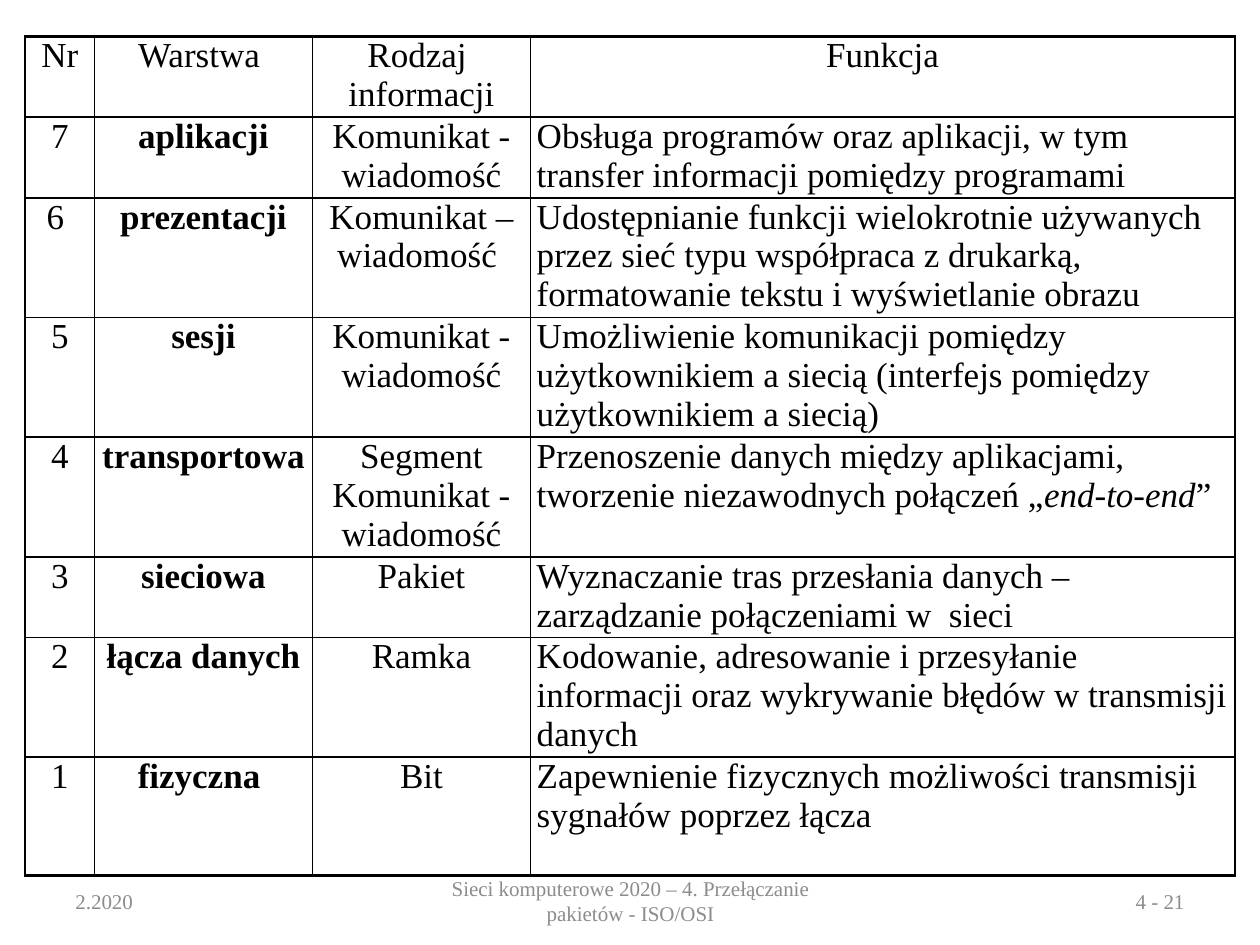
from typing import NamedTuple

import pptx
import pptx.dml.color
import pptx.enum.text
import pptx.oxml
import pptx.oxml.ns
import pptx.util
from pptx.util import Inches

BLACK = pptx.dml.color.RGBColor(0x00, 0x00, 0x00)
GRAY = pptx.dml.color.RGBColor(0x8C, 0x8C, 0x8C)
FONT = "Times New Roman"
ALIGN = pptx.enum.text.PP_ALIGN
ANCHOR = pptx.enum.text.MSO_ANCHOR
THIN, THICK = 1, 1.5


class Layer(NamedTuple):
    number: str
    name: str
    information: str
    function: str  # asterisks enclose italic words


class Footer(NamedTuple):
    left: float
    width: float
    text: str
    align: ALIGN


HEADER = Layer("Nr", "Warstwa ", "Rodzaj \ninformacji", "Funkcja")
LAYERS = [
    Layer("7", "aplikacji", "Komunikat - wiadomość",
          "Obsługa programów oraz aplikacji, w tym transfer informacji pomiędzy programami"),
    Layer("6 ", "prezentacji", "Komunikat – wiadomość ",
          "Udostępnianie funkcji wielokrotnie używanych przez sieć typu współpraca "
          "z drukarką, formatowanie tekstu i wyświetlanie obrazu"),
    Layer("5", "sesji", "Komunikat - wiadomość",
          "Umożliwienie komunikacji pomiędzy użytkownikiem a siecią "
          "(interfejs pomiędzy użytkownikiem a siecią)"),
    Layer("4", "transportowa", "Segment Komunikat - wiadomość",
          "Przenoszenie danych między aplikacjami, tworzenie niezawodnych "
          "połączeń „*end-to-end*”"),
    Layer("3", "sieciowa", "Pakiet",
          "Wyznaczanie tras przesłania danych – zarządzanie połączeniami w  sieci"),
    Layer("2", "łącza danych", "Ramka",
          "Kodowanie, adresowanie i przesyłanie informacji oraz wykrywanie błędów "
          "w transmisji danych"),
    Layer("1", "fizyczna ", "Bit",
          "Zapewnienie fizycznych możliwości transmisji sygnałów poprzez łącza"),
]
COLUMN_WIDTHS = [0.55, 1.73, 1.73, 5.59]
ROW_HEIGHTS = [0.64, 0.64, 0.95, 0.95, 0.95, 0.64, 0.95, 0.94]

FOOTERS = [
    Footer(0.5, 2.33, "2.2020", ALIGN.LEFT),
    Footer(3.42, 3.17, "Sieci komputerowe 2020 – 4. Przełączanie pakietów - ISO/OSI",
           ALIGN.CENTER),
    Footer(7.17, 2.33, "4 - 21", ALIGN.RIGHT),
]


def write_text(text_frame, text: str, *, size: float, color=BLACK,
               align=ALIGN.LEFT, bold: bool = False) -> None:
    """Write one paragraph per line; words between asterisks become italic."""
    for index, line in enumerate(text.split("\n")):
        paragraph = text_frame.paragraphs[0] if index == 0 else text_frame.add_paragraph()
        paragraph.alignment = align
        for part_index, part in enumerate(line.split("*")):
            run = paragraph.add_run()
            run.text = part
            run.font.name = FONT
            run.font.size = pptx.util.Pt(size)
            run.font.color.rgb = color
            run.font.bold = bold
            run.font.italic = part_index % 2 == 1


def set_borders(cell, **widths: float) -> None:
    """Draw the cell edges, in the order L, R, T, B."""
    properties = cell._tc.get_or_add_tcPr()
    for side, width in widths.items():
        properties.append(pptx.oxml.parse_xml(
            f'<a:ln{side} {pptx.oxml.ns.nsdecls("a")} w="{pptx.util.Pt(width)}">'
            f'<a:solidFill><a:srgbClr val="{BLACK}"/></a:solidFill></a:ln{side}>'))


def add_layer_table(slide) -> None:
    rows = [HEADER, *LAYERS]
    table = slide.shapes.add_table(
        len(rows), len(COLUMN_WIDTHS), Inches(0.2), Inches(0.29),
        Inches(sum(COLUMN_WIDTHS)), Inches(sum(ROW_HEIGHTS))).table
    table.first_row = table.horz_banding = False
    for column, width in zip(table.columns, COLUMN_WIDTHS):
        column.width = Inches(width)
    for row, height in zip(table.rows, ROW_HEIGHTS):
        row.height = Inches(height)

    last_row, last_column = len(rows) - 1, len(COLUMN_WIDTHS) - 1
    for row_index, layer in enumerate(rows):
        for column_index, text in enumerate(layer):
            cell = table.cell(row_index, column_index)
            cell.margin_left = cell.margin_right = Inches(0.05)
            cell.margin_top = cell.margin_bottom = 0
            is_header = row_index == 0
            is_function = column_index == last_column and not is_header
            write_text(cell.text_frame, text, size=20,
                       align=ALIGN.LEFT if is_function else ALIGN.CENTER,
                       bold=column_index == 1 and not is_header)
            # Thick frame and header rule, thin inner grid
            set_borders(cell,
                        L=THICK if column_index == 0 else THIN,
                        R=THICK if column_index == last_column else THIN,
                        T=THICK if row_index <= 1 else THIN,
                        B=THICK if row_index in (0, last_row) else THIN)
            cell.fill.background()


def add_footer(slide, footer: Footer) -> None:
    box = slide.shapes.add_textbox(Inches(footer.left), Inches(6.95),
                                   Inches(footer.width), Inches(0.4))
    box.text_frame.word_wrap = True
    box.text_frame.vertical_anchor = ANCHOR.MIDDLE
    write_text(box.text_frame, footer.text, size=12, color=GRAY, align=footer.align)


def main() -> None:
    presentation = pptx.Presentation()
    presentation.slide_width = Inches(10)
    presentation.slide_height = Inches(7.5)
    slide = presentation.slides.add_slide(presentation.slide_layouts[6])

    # Table of the OSI layers
    add_layer_table(slide)

    # Date, title and page number
    for footer in FOOTERS:
        add_footer(slide, footer)

    presentation.save("out.pptx")


if __name__ == "__main__":
    main()
